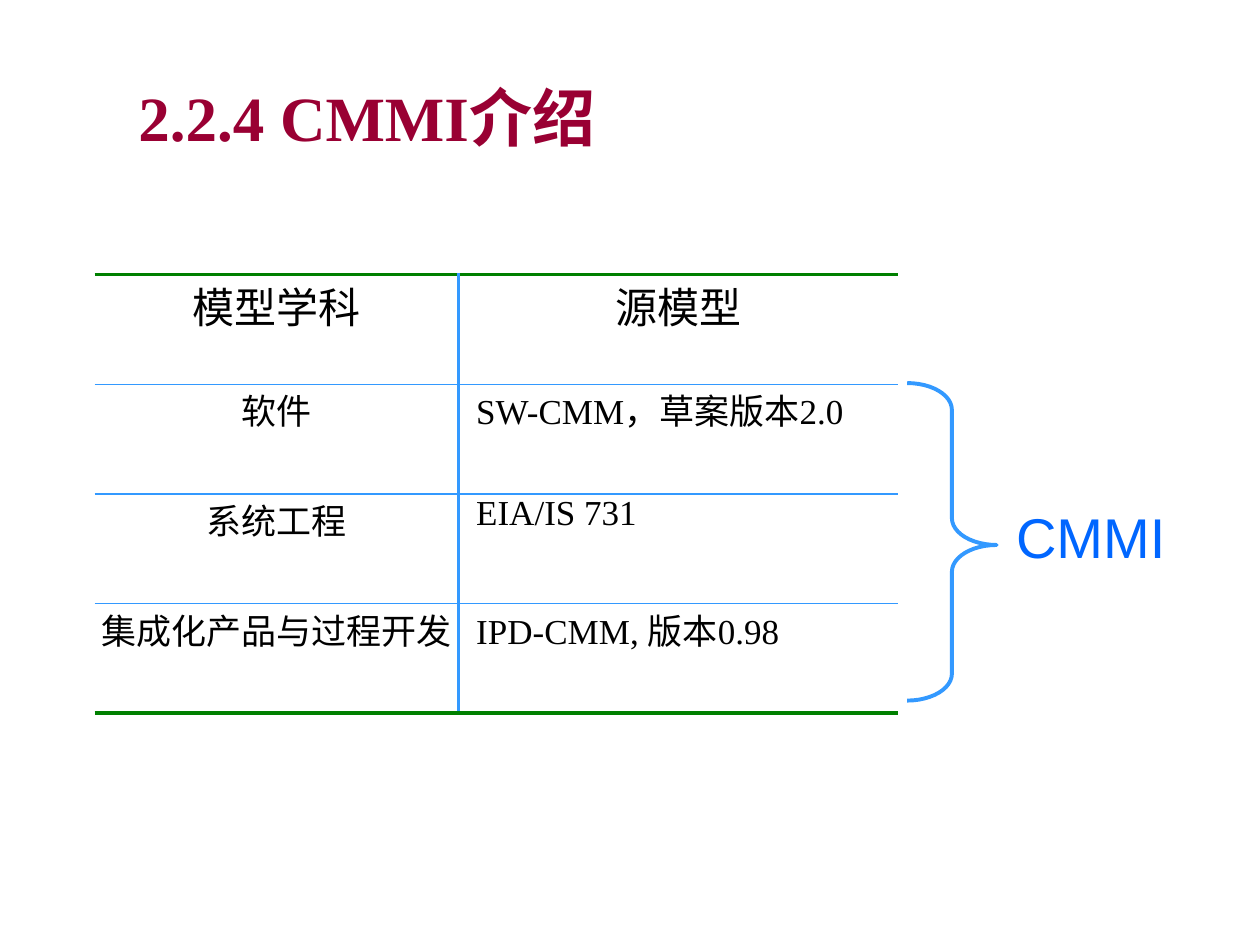
"""Builds a slide that maps CMMI disciplines to their source models."""
from typing import Any, NamedTuple

import pptx
import pptx.dml.color
import pptx.enum.shapes
import pptx.enum.text
import pptx.oxml
import pptx.oxml.ns
import pptx.util
from pptx.util import Inches

HUES = {"title": "990033", "text": "000000", "rule": "3399FF", "edge": "008000", "label": "0066FF"}
ALIGN = pptx.enum.text.PP_ALIGN
ANCHOR = pptx.enum.text.MSO_ANCHOR


class Style(NamedTuple):
    size: int
    hue: str
    face: str = "Times New Roman"
    bold: bool = False
    align: Any = ALIGN.LEFT


class Label(NamedTuple):
    text: str
    box: tuple[float, float, float, float]
    style: Style
    frame: dict[str, Any]


class Rule(NamedTuple):
    hue: str
    width: float


THIN = Rule("rule", 1)
WALL = Rule("rule", 2.25)
EDGE = Rule("edge", 2.25)
SIDES = ("margin_left", "margin_top", "margin_right", "margin_bottom")
BARE = dict.fromkeys(SIDES, 0)
ROWS = (
    ("模型学科", "源模型"),
    ("软件", "SW-CMM，草案版本2.0"),
    ("系统工程", "EIA/IS 731"),
    ("集成化产品与过程开发", "IPD-CMM, 版本0.98"),
)
WIDTHS = (2.89, 3.49)
HEIGHT = 0.87
LABELS = (
    Label("2.2.4 CMMI介绍", (1, 0.3, 8.5, 1.25), Style(36, "title", bold=True),
          {"vertical_anchor": ANCHOR.MIDDLE}),
    Label("CMMI", (7.99, 3.99, 1.26, 0.54), Style(32, "label", "Arial", align=ALIGN.RIGHT), BARE),
)


def color(hue: str) -> pptx.dml.color.RGBColor:
    """Return the named colour."""
    return pptx.dml.color.RGBColor.from_string(HUES[hue])


def apply(target: Any, values: dict[str, Any]) -> None:
    """Set each value as an attribute of the target."""
    for name, value in values.items():
        setattr(target, name, value)


def write(frame: Any, text: str, style: Style) -> None:
    """Put one styled paragraph in a text frame."""
    para = frame.paragraphs[0]
    para.alignment = style.align
    run = para.add_run()
    run.text = text
    apply(run.font, {"size": pptx.util.Pt(style.size), "name": style.face, "bold": style.bold})
    run.font.color.rgb = color(style.hue)


def border(cell: Any, side: str, rule: Rule | None) -> None:
    """Draw or clear one side of a cell."""
    line = pptx.oxml.parse_xml(f'<a:ln{side} {pptx.oxml.ns.nsdecls("a")}/>')
    if rule:
        line.set("w", str(pptx.util.Pt(rule.width)))
        fill = pptx.oxml.parse_xml(
            f'<a:solidFill {pptx.oxml.ns.nsdecls("a")}><a:srgbClr val="{HUES[rule.hue]}"/></a:solidFill>')
    else:
        fill = pptx.oxml.parse_xml(f'<a:noFill {pptx.oxml.ns.nsdecls("a")}/>')
    line.append(fill)
    cell._tc.get_or_add_tcPr().append(line)


def grid(slide: Any) -> None:
    """Add the table of disciplines and source models."""
    count = len(ROWS)
    table = slide.shapes.add_table(count, len(WIDTHS), Inches(0.75), Inches(2.18),
                                   Inches(sum(WIDTHS)), Inches(HEIGHT * count)).table
    apply(table, {"first_row": False, "horz_banding": False})
    for column, width in zip(table.columns, WIDTHS):
        column.width = Inches(width)
    for r, texts in enumerate(ROWS):
        table.rows[r].height = Inches(HEIGHT)
        for c, text in enumerate(texts):
            cell = table.cell(r, c)
            body = r > 0 and c > 0
            apply(cell, BARE | {"margin_left": Inches(0.14 if body else 0)})
            align = ALIGN.LEFT if body else ALIGN.CENTER
            write(cell.text_frame, text, Style(20 if r else 24, "text", align=align))
            rules = {
                "L": WALL if c else None,
                "R": None if c else WALL,
                "T": THIN if r else EDGE,
                "B": THIN if r < count - 1 else EDGE,
            }
            for side, rule in rules.items():
                border(cell, side, rule)
            cell.fill.background()


def brace(slide: Any) -> None:
    """Add the brace that gathers the source models."""
    shape = slide.shapes.add_shape(pptx.enum.shapes.MSO_SHAPE.RIGHT_BRACE,
                                   Inches(7.2), Inches(3.04), Inches(0.71), Inches(2.52))
    shape.adjustments[0], shape.adjustments[1] = 0.3, 0.51
    shape.shadow.inherit = False
    shape.fill.background()
    shape.line.color.rgb = color("rule")
    shape.line.width = pptx.util.Pt(2.25)


def label(slide: Any, item: Label) -> None:
    """Add a text box."""
    frame = slide.shapes.add_textbox(*map(Inches, item.box)).text_frame
    apply(frame, {"word_wrap": True} | item.frame)
    write(frame, item.text, item.style)


def main() -> None:
    """Build and save the slide."""
    deck = pptx.Presentation()
    apply(deck, {"slide_width": Inches(10), "slide_height": Inches(7.5)})
    slide = deck.slides.add_slide(deck.slide_layouts[6])
    grid(slide)
    brace(slide)
    for item in LABELS:
        label(slide, item)
    deck.save("out.pptx")


if __name__ == "__main__":
    main()
